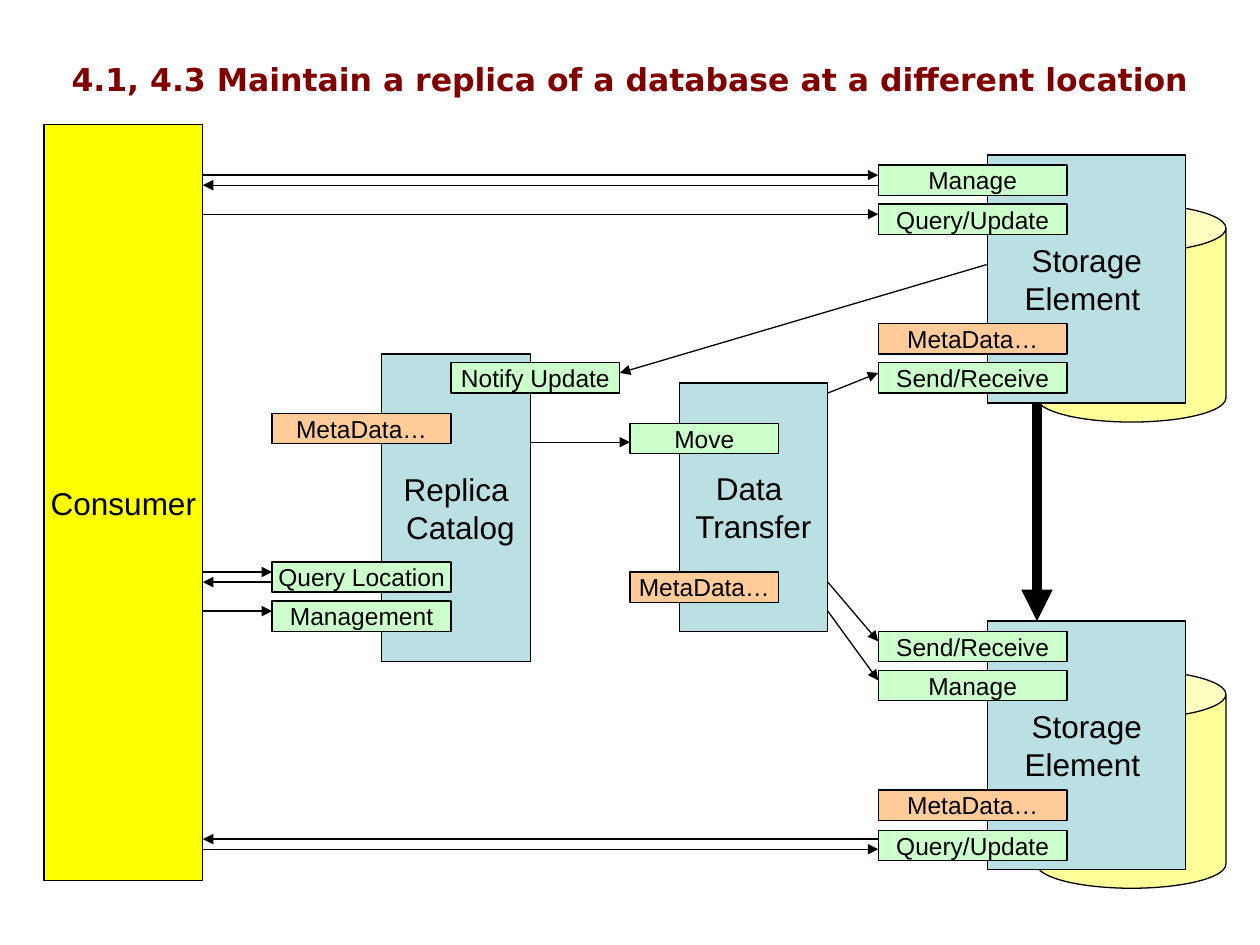
import lxml.etree
import pptx
import pptx.dml.color
import pptx.enum.shapes
import pptx.enum.text
import pptx.oxml.ns
import pptx.util

Inches = pptx.util.Inches
RGBColor = pptx.dml.color.RGBColor
MSO_SHAPE = pptx.enum.shapes.MSO_SHAPE

BLACK = RGBColor(0x00, 0x00, 0x00)
MAROON = RGBColor(0x80, 0x00, 0x00)
YELLOW = RGBColor(0xFF, 0xFF, 0x00)
PALE_YELLOW = RGBColor(0xFF, 0xFF, 0x99)
TEAL = RGBColor(0xBB, 0xE0, 0xE3)
GREEN = RGBColor(0xCC, 0xFF, 0xCC)
ORANGE = RGBColor(0xFF, 0xCC, 0x99)

TITLE_FONT = "DejaVu Sans"
BODY_FONT = "Arial"
THIN = 0.75
THICK = 6
PORT_HEIGHT = 0.24
METADATA = "MetaData…"

CONSUMER_RIGHT = 1.61
CATALOG_PORT_LEFT = 2.16
CATALOG_PORT_WIDTH = 1.42
TRANSFER_PORT_LEFT = 5
TRANSFER_PORT_WIDTH = 1.18
TRANSFER_RIGHT = 6.57
STORAGE_PORT_LEFT = 6.97
STORAGE_PORT_WIDTH = 1.5
CYLINDER_LEFT = 8.23

STORAGE_ELEMENTS = [
    (1.23, [("Manage", 1.31), ("Query/Update", 1.62),
            (METADATA, 2.57), ("Send/Receive", 2.88)]),
    (4.93, [("Send/Receive", 5.01), ("Manage", 5.32),
            (METADATA, 6.27), ("Query/Update", 6.59)]),
]
CATALOG_PORTS = [(METADATA, 3.28), ("Query Location", 4.46), ("Management", 4.77)]
TRANSFER_PORTS = [("Move", 3.36), (METADATA, 4.54)]

CONSUMER_REQUESTS = [
    (STORAGE_PORT_LEFT, [1.39, 1.7, 6.74]),
    (CATALOG_PORT_LEFT, [4.54, 4.85]),
]
CONSUMER_REPLIES = [
    (STORAGE_PORT_LEFT, [1.47, 6.66]),
    (CATALOG_PORT_LEFT, [4.62]),
]
SERVICE_ARROWS = [
    ((7.83, 2.1), (4.92, 2.96)),
    ((4.21, 3.51), (TRANSFER_PORT_LEFT, 3.51)),
    ((TRANSFER_RIGHT, 3.12), (STORAGE_PORT_LEFT, 2.96)),
    ((TRANSFER_RIGHT, 4.62), (STORAGE_PORT_LEFT, 5.09)),
    ((TRANSFER_RIGHT, 4.85), (STORAGE_PORT_LEFT, 5.4)),
]


class Diagram:
    def __init__(self, page):
        self.page = page

    def set_text(self, frame, lines, size, font=BODY_FONT, color=BLACK, bold=False):
        frame.vertical_anchor = pptx.enum.text.MSO_ANCHOR.MIDDLE
        frame.text = "\n".join(lines)
        for para in frame.paragraphs:
            para.alignment = pptx.enum.text.PP_ALIGN.CENTER
            para.font.name = font
            para.font.size = pptx.util.Pt(size)
            para.font.bold = bold
            para.font.color.rgb = color

    def title(self, text):
        box = self.page.shapes.title
        box.left, box.top = Inches(0), Inches(0)
        box.width, box.height = Inches(10), Inches(1.25)
        box.text_frame.auto_size = pptx.enum.text.MSO_AUTO_SIZE.NONE
        self.set_text(box.text_frame, [text], 18, TITLE_FONT, MAROON, True)

    def shape(self, kind, left, top, width, height, fill):
        box = self.page.shapes.add_shape(
            kind, Inches(left), Inches(top), Inches(width), Inches(height))
        box.shadow.inherit = False
        box.fill.solid()
        box.fill.fore_color.rgb = fill
        box.line.color.rgb = BLACK
        box.line.width = pptx.util.Pt(THIN)
        return box

    def block(self, lines, left, top, width, height, fill, size=18):
        box = self.shape(MSO_SHAPE.RECTANGLE, left, top, width, height, fill)
        box.text_frame.word_wrap = False
        self.set_text(box.text_frame, lines, size)

    def cylinder(self, left, top, width, height):
        can = self.shape(MSO_SHAPE.CAN, left, top, width, height, PALE_YELLOW)
        can.adjustments[0] = 0.255

    def ports(self, entries, left, width):
        for label, top in entries:
            fill = ORANGE if label == METADATA else GREEN
            self.block([label], left, top, width, PORT_HEIGHT, fill, 14)

    def storage_element(self, top, entries):
        self.cylinder(CYLINDER_LEFT, top + 0.39, 1.5, 1.73)
        self.block(["Storage", "Element "], 7.84, top, 1.57, 1.97, TEAL)
        self.ports(entries, STORAGE_PORT_LEFT, STORAGE_PORT_WIDTH)

    def arrow(self, start, end, width=THIN):
        points = [Inches(value) for value in (*start, *end)]
        line = self.page.shapes.add_connector(
            pptx.enum.shapes.MSO_CONNECTOR.STRAIGHT, *points)
        line.line.color.rgb = BLACK
        line.line.width = pptx.util.Pt(width)
        qn = pptx.oxml.ns.qn
        properties = line._element.spPr
        outline = properties.find(qn("a:ln"))
        lxml.etree.SubElement(outline, qn("a:tailEnd"), type="triangle")
        lxml.etree.SubElement(properties, qn("a:effectLst"))


def main():
    deck = pptx.Presentation()
    deck.slide_width, deck.slide_height = Inches(10), Inches(7.5)
    diagram = Diagram(deck.slides.add_slide(deck.slide_layouts[5]))

    diagram.title("4.1, 4.3 Maintain a replica of a database at a different location")
    diagram.block(["Consumer"], 0.35, 0.99, 1.26, 6, YELLOW)

    diagram.block(["Replica", " Catalog"], 3.03, 2.81, 1.18, 2.44, TEAL)
    diagram.ports(CATALOG_PORTS, CATALOG_PORT_LEFT, CATALOG_PORT_WIDTH)
    diagram.ports([("Notify Update", 2.88)], 3.58, 1.34)

    diagram.block(["Data ", "Transfer"], 5.39, 3.04, 1.18, 1.97, TEAL)
    diagram.ports(TRANSFER_PORTS, TRANSFER_PORT_LEFT, TRANSFER_PORT_WIDTH)

    for top, entries in STORAGE_ELEMENTS:
        diagram.storage_element(top, entries)

    for port_left, heights in CONSUMER_REQUESTS:
        for height in heights:
            diagram.arrow((CONSUMER_RIGHT, height), (port_left, height))
    for port_left, heights in CONSUMER_REPLIES:
        for height in heights:
            diagram.arrow((port_left, height), (CONSUMER_RIGHT, height))
    for start, end in SERVICE_ARROWS:
        diagram.arrow(start, end)
    diagram.arrow((CYLINDER_LEFT, 3.2), (CYLINDER_LEFT, 4.93), THICK)

    deck.save("out.pptx")


if __name__ == "__main__":
    main()
